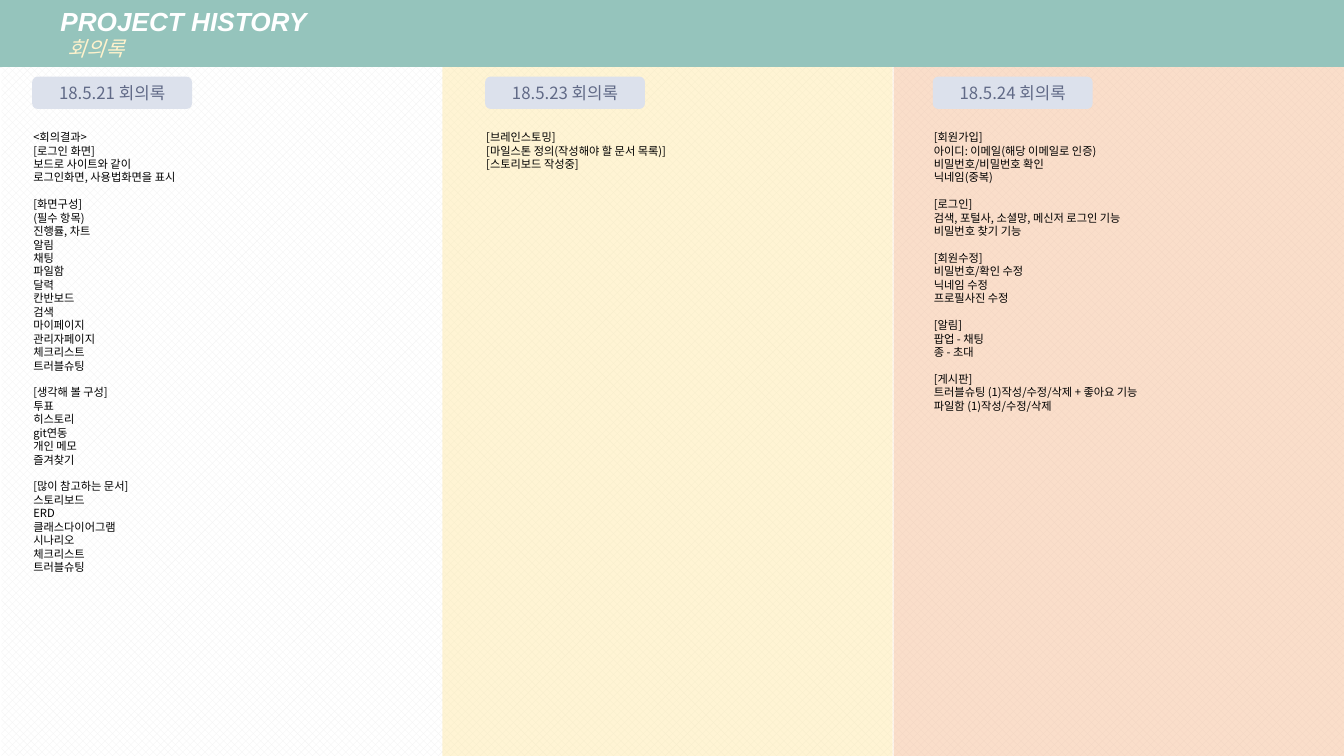
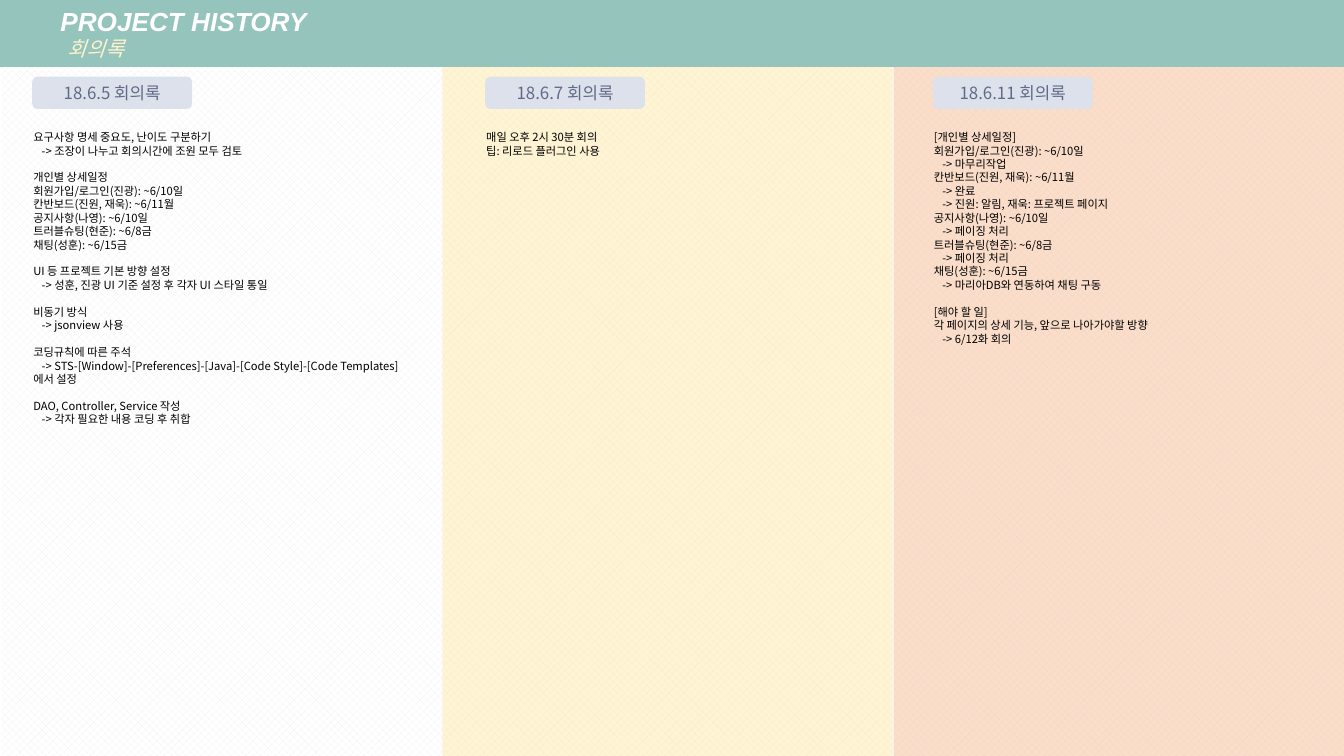
from dataclasses import dataclass
from typing import Optional

from lxml.etree import SubElement
from pptx import Presentation
from pptx.dml.color import RGBColor
from pptx.enum.dml import MSO_PATTERN
from pptx.enum.shapes import MSO_SHAPE
from pptx.enum.text import MSO_ANCHOR, MSO_AUTO_SIZE, PP_ALIGN
from pptx.oxml.ns import qn
from pptx.util import Cm, Pt

WIDTH, HEIGHT = 25.4, 14.29
TOP = 1.27
SANS, LATIN = "Noto Sans CJK KR", "Arial"
MINT, WHITE, CREAM, BLACK = "95C4BC", "FFFFFF", "FFF2CC", "000000"
GRAY, TAG, SLATE = "F2F2F2", "DCE1EC", "616A87"
LINE = Pt(7.2)
COLUMNS = (0.61, 9.17, 17.63)


@dataclass
class Panel:
    left: float
    width: float
    tint: Optional[str] = None  # no tint means the diamond pattern


@dataclass
class Minutes:
    date: str
    text: str  # a blank line parts two groups


PANELS = (
    Panel(0.03, 8.41),
    Panel(8.38, 17.02),
    Panel(16.89, 8.51, "F4B183"),
    Panel(8.36, 8.51, "FFE699"),
)

PAGES = (
    (
        Minutes("18.5.21", """<회의결과>
[로그인 화면]
보드로 사이트와 같이
로그인화면, 사용법화면을 표시

[화면구성]
(필수 항목)
진행률, 차트
알림
채팅
파일함
달력
칸반보드
검색
마이페이지
관리자페이지
체크리스트
트러블슈팅

[생각해 볼 구성]
투표
히스토리
git연동
개인 메모
즐겨찾기

[많이 참고하는 문서]
스토리보드
ERD
클래스다이어그램
시나리오
체크리스트
트러블슈팅"""),
        Minutes("18.5.23", """[브레인스토밍]
[마일스톤 정의(작성해야 할 문서 목록)]
[스토리보드 작성중]"""),
        Minutes("18.5.24", """[회원가입]
아이디: 이메일(해당 이메일로 인증)
비밀번호/비밀번호 확인
닉네임(중복)

[로그인]
검색, 포털사, 소셜망, 메신저 로그인 기능
비밀번호 찾기 기능

[회원수정]
비밀번호/확인 수정
닉네임 수정
프로필사진 수정

[알림]
팝업 - 채팅
종 - 초대

[게시판]
트러블슈팅 (1)작성/수정/삭제 + 좋아요 기능
파일함 (1)작성/수정/삭제"""),
    ),
    (
        Minutes("18.6.5", """요구사항 명세 중요도, 난이도 구분하기
-> 조장이 나누고 회의시간에 조원 모두 검토

개인별 상세일정
회원가입/로그인(진광): ~6/10일
칸반보드(진원, 재욱): ~6/11월
공지사항(나영): ~6/10일
트러블슈팅(현준): ~6/8금
채팅(성훈): ~6/15금

UI 등 프로젝트 기본 방향 설정
-> 성훈, 진광 UI 기준 설정 후 각자 UI 스타일 통일

비동기 방식
-> jsonview 사용

코딩규칙에 따른 주석
-> STS-[Window]-[Preferences]-[Java]-[Code Style]-[Code Templates]에서 설정

DAO, Controller, Service 작성
-> 각자 필요한 내용 코딩 후 취합"""),
        Minutes("18.6.7", """매일 오후 2시 30분 회의
팁: 리로드 플러그인 사용"""),
        Minutes("18.6.11", """[개인별 상세일정]
회원가입/로그인(진광): ~6/10일
-> 마무리작업
칸반보드(진원, 재욱): ~6/11월
-> 완료
-> 진원: 알림, 재욱: 프로젝트 페이지
공지사항(나영): ~6/10일
-> 페이징 처리
트러블슈팅(현준): ~6/8금
-> 페이징 처리
채팅(성훈): ~6/15금
-> 마리아DB와 연동하여 채팅 구동

[해야 할 일]
각 페이지의 상세 기능, 앞으로 나아가야할 방향
-> 6/12화 회의"""),
    ),
)


def color(code: str) -> RGBColor:
    return RGBColor.from_string(code)


def style(para, size: float, code: str, face: str = SANS,
          bold: bool = False, slant: bool = False) -> None:
    """Format every run, for Latin and for Korean letters."""
    for run in para.runs:
        font = run.font
        font.size, font.bold, font.italic = Pt(size), bold, slant
        font.color.rgb = color(code)
        font.name = face
        SubElement(font._element, qn("a:ea")).set("typeface", SANS)


def indent(para, margin: float, first: float) -> None:
    props = para._p.get_or_add_pPr()
    props.set("marL", str(Cm(margin)))
    props.set("indent", str(Cm(first)))


def inset(frame) -> None:
    frame.margin_left = frame.margin_right = Cm(0.18)
    frame.margin_top = frame.margin_bottom = Cm(0.1)
    frame.vertical_anchor = MSO_ANCHOR.MIDDLE
    frame.word_wrap = True


def add_box(slide, kind, left: float, top: float, width: float, height: float):
    box = slide.shapes.add_shape(kind, Cm(left), Cm(top), Cm(width), Cm(height))
    box.shadow.inherit = False
    box.line.fill.background()
    return box


def add_title(slide) -> None:
    band = slide.shapes.title
    band.left, band.top = Cm(0), Cm(-0.02)
    band.width, band.height = Cm(WIDTH), Cm(1.29)
    band.fill.solid()
    band.fill.fore_color.rgb = color(MINT)
    frame = band.text_frame
    frame.text = "PROJECT HISTORY\n회의록"
    frame.auto_size = MSO_AUTO_SIZE.NONE
    inset(frame)
    head, sub = frame.paragraphs
    for para, margin in ((head, 0.96), (sub, 1.1)):
        para.alignment = PP_ALIGN.LEFT
        indent(para, margin, 0)
    style(head, 14, WHITE, LATIN, bold=True, slant=True)
    style(sub, 11, CREAM, LATIN, slant=True)


def add_panel(slide, panel: Panel) -> None:
    box = add_box(slide, MSO_SHAPE.RECTANGLE, panel.left, TOP,
                  panel.width, HEIGHT - TOP)
    fill = box.fill
    if panel.tint is None:
        fill.patterned()
        fill.pattern = MSO_PATTERN.SOLID_DIAMOND
        fill.fore_color.rgb = color(GRAY)
        fill.back_color.rgb = color(WHITE)
        return
    fill.solid()
    fill.fore_color.rgb = color(panel.tint)
    tint = box._element.spPr.find(qn("a:solidFill"))[0]
    SubElement(tint, qn("a:alpha")).set("val", "42000")


def add_notes(slide, left: float, text: str) -> None:
    rows = len(text.split("\n"))
    box = slide.shapes.add_textbox(Cm(left - 0.23), Cm(2.34), Cm(7.44),
                                   Cm(0.25) + rows * LINE)
    frame = box.text_frame
    frame.word_wrap = True
    para = frame.paragraphs[0]
    for group, block in enumerate(text.split("\n\n")):
        for row, line in enumerate(block.split("\n")):
            if group or row:
                para = frame.add_paragraph()
            para.text = line
            para.line_spacing = LINE
            if group and not row:
                para.space_before = LINE
            if line.startswith("->"):
                indent(para, 0, 0.16)
            style(para, 6, BLACK)


def add_tag(slide, left: float, date: str) -> None:
    tag = add_box(slide, MSO_SHAPE.ROUNDED_RECTANGLE, left, 1.45, 3.02, 0.61)
    tag.fill.solid()
    tag.fill.fore_color.rgb = color(TAG)
    inset(tag.text_frame)
    para = tag.text_frame.paragraphs[0]
    para.text = f"{date} 회의록"
    para.alignment = PP_ALIGN.CENTER
    style(para, 9, SLATE)


def main() -> None:
    deck = Presentation()
    deck.slide_width, deck.slide_height = Cm(WIDTH), Cm(HEIGHT)
    for page in PAGES:
        slide = deck.slides.add_slide(deck.slide_layouts[5])
        add_title(slide)
        for panel in PANELS:
            add_panel(slide, panel)
        for left, item in zip(COLUMNS, page):
            add_notes(slide, left, item.text)
            add_tag(slide, left, item.date)
    deck.save("out.pptx")


if __name__ == "__main__":
    main()
